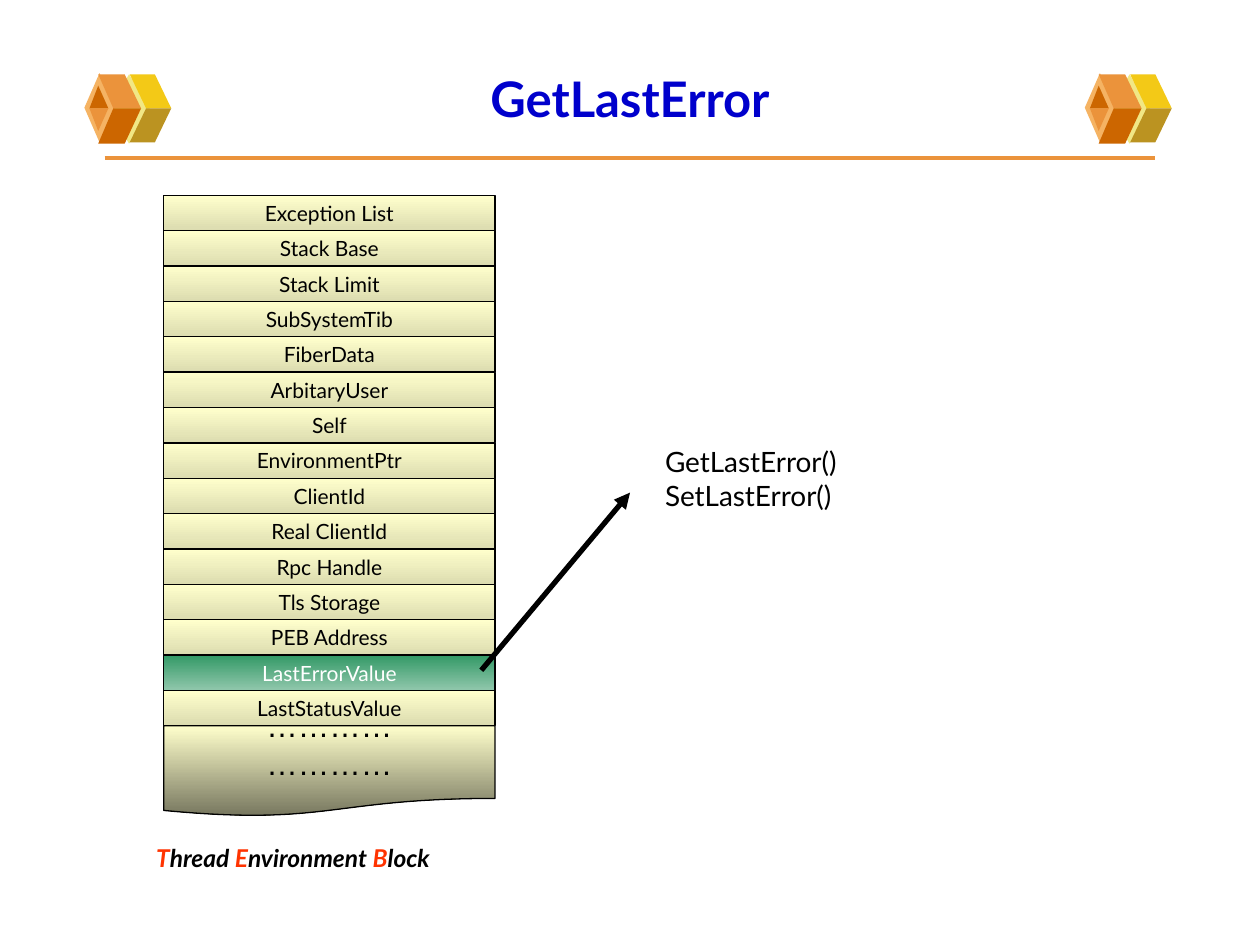
from dataclasses import dataclass
from lxml.etree import SubElement
from pptx import Presentation
from pptx.dml.color import RGBColor
from pptx.enum.shapes import MSO_CONNECTOR, MSO_SHAPE
from pptx.enum.text import MSO_ANCHOR, PP_ALIGN
from pptx.oxml.ns import qn
from pptx.util import Inches, Pt


@dataclass(frozen=True)
class Theme:
    font: str = "Lato"
    dots_font: str = "Arial"
    title: str = "0000CC"
    text: str = "000000"
    inverse: str = "FFFFFF"
    accent: str = "FF3300"
    rule: str = "EB933B"
    field: tuple = ("FFFFCC", "DCDCB0")
    chosen: tuple = ("339966", "90C7AC")
    rest: tuple = ("FFFFCC", "76765E")
    title_size: int = 28
    dots_size: int = 18
    call_size: int = 16
    caption_size: int = 14
    field_size: int = 12


@dataclass(frozen=True)
class Box:
    x: float
    y: float
    w: float
    h: float

    def share(self, x, y, w, h):
        return Box(self.x + x * self.w, self.y + y * self.h, w * self.w, h * self.h)

    def rows(self, n):
        return [self.share(0, i / n, 1, 1 / n) for i in range(n)]

    def emu(self):
        return [Inches(v) for v in (self.x, self.y, self.w, self.h)]


T = Theme()
PAGE = Box(0, 0, 10, 7.5)
FIELDS = ["Exception List", "Stack Base", "Stack Limit", "SubSystemTib", "FiberData",
          "ArbitaryUser", "Self", "EnvironmentPtr", "ClientId", "Real ClientId",
          "Rpc Handle", "Tls Storage", "PEB Address", "LastErrorValue", "LastStatusValue"]
CHOSEN = "LastErrorValue"
CUBE_GRID = (69, 56)
CUBE_BACK = ("F1E785", (19, 1, 33, 55), [
    ("F3C917", [(49, 28), (69, 28), (56, 1), (36, 1)]),
    ("BB9321", [(49, 28), (69, 28), (56, 55), (36, 55)])])
CUBE_FRONT = ("F5B363", (0, 0, 24, 55), [
    ("EB933B", [(23, 28), (45, 28), (32, 1), (11, 1)]),
    ("CC6600", [(23, 28), (45, 28), (32, 56), (11, 56)]),
    ("CC6600", [(11, 10), (4, 28), (19, 28)]),
    ("EB933B", [(11, 46), (4, 28), (19, 28)])])


def write(tf, paragraphs, size, color=T.text, font=T.font, align=PP_ALIGN.LEFT,
          anchor=MSO_ANCHOR.TOP, wrap=False, bold=False, italic=False):
    tf.word_wrap = wrap
    tf.vertical_anchor = anchor
    for i, runs in enumerate(paragraphs):
        p = tf.paragraphs[0] if i == 0 else tf.add_paragraph()
        p.alignment = align
        for text, run_color in [(runs, color)] if isinstance(runs, str) else runs:
            r = p.add_run()
            r.text = text
            f = r.font
            f.name, f.size, f.bold, f.italic = font, Pt(size), bold, italic
            f.color.rgb = RGBColor.from_string(run_color)


def paint(sp, color):
    sp.shadow.inherit = False
    sp.fill.solid()
    sp.fill.fore_color.rgb = RGBColor.from_string(color)
    sp.line.fill.background()


def add_line(s, start, end, color, width, arrow=False):
    x1, y1, x2, y2 = [Inches(v) for v in (*start, *end)]
    line = s.shapes.add_connector(MSO_CONNECTOR.STRAIGHT, x1, y1, x2, y2)
    line.line.color.rgb = RGBColor.from_string(color)
    line.line.width = Pt(width)
    props = line._element.spPr
    if arrow:
        SubElement(props.get_or_add_ln(), qn("a:tailEnd"), type="triangle")
    SubElement(props, qn("a:effectLst"))


def add_cell(s, box, shape, colors):
    sp = s.shapes.add_shape(shape, *box.emu())
    sp.shadow.inherit = False
    sp.fill.gradient()
    sp.fill.gradient_angle = 270
    for stop, color in zip(sp.fill.gradient_stops, colors):
        stop.color.rgb = RGBColor.from_string(color)
    sp.line.color.rgb = RGBColor.from_string(T.text)
    sp.line.width = Pt(0.75)
    return sp.text_frame


def add_label(s, box, paragraphs, size, **fmt):
    write(s.shapes.add_textbox(*box.emu()).text_frame, paragraphs, size, **fmt)


def add_cube(s, box):
    cols, rows = CUBE_GRID
    scale = Inches(box.w) / cols, Inches(box.h) / rows
    for color, (x, y, w, h), faces in (CUBE_BACK, CUBE_FRONT):
        diamond = box.share(x / cols, y / rows, w / cols, h / rows)
        paint(s.shapes.add_shape(MSO_SHAPE.DIAMOND, *diamond.emu()), color)
        for face_color, points in faces:
            fb = s.shapes.build_freeform(*points[0], scale=scale)
            fb.add_line_segments(points[1:], close=True)
            paint(fb.convert_to_shape(Inches(box.x), Inches(box.y)), face_color)


def add_header(s, box, text):
    bottom = box.y + box.h
    add_line(s, (box.x + 0.33, bottom), (box.x + box.w - 0.33, bottom), T.rule, 2.25)
    for x in (0.17, 8.11):
        add_cube(s, Box(box.x + x, box.y + 0.28, 0.69, 0.56))
    title = s.shapes.title
    title.left, title.top, title.width, title.height = box.emu()
    write(title.text_frame, [text], T.title_size, color=T.title, align=PP_ALIGN.CENTER,
          anchor=MSO_ANCHOR.MIDDLE, wrap=True, bold=True)


def add_block(s, box):
    centred = dict(align=PP_ALIGN.CENTER, anchor=MSO_ANCHOR.MIDDLE)
    fields_h = 0.854 
    rest = box.share(0, fields_h, 1, 1 - fields_h)
    tf = add_cell(s, rest, MSO_SHAPE.FLOWCHART_DOCUMENT, T.rest)
    tf.margin_bottom = Inches(0.34)
    write(tf, ["…………"] * 2, T.dots_size, font=T.dots_font, **centred)
    for name, row in zip(FIELDS, box.share(0, 0, 1, fields_h).rows(len(FIELDS))):
        fill, color = (T.chosen, T.inverse) if name == CHOSEN else (T.field, T.text)
        tf = add_cell(s, row, MSO_SHAPE.RECTANGLE, fill)
        write(tf, [name], T.field_size, color=color, **centred)


def add_caption(s, box):
    words = ["Thread ", "Environment ", "Block"]
    runs = [run for w in words for run in ((w[0], T.accent), (w[1:], T.text))]
    add_label(s, box, [runs], T.caption_size, wrap=True, bold=True, italic=True)


def add_calls(s, box):
    add_line(s, (3.82, 5.32), (box.x - 0.18, 3.91), T.text, 3, arrow=True)
    add_label(s, box, ["GetLastError()", "SetLastError()"], T.call_size)


def main():
    prs = Presentation()
    prs.slide_width, prs.slide_height = Inches(PAGE.w), Inches(PAGE.h)
    s = prs.slides.add_slide(prs.slide_layouts[5])
    add_header(s, PAGE.share(0.05, 0.04, 0.9, 0.127), "GetLastError")
    add_block(s, Box(1.3, 1.55, 2.63, 4.93))
    add_caption(s, Box(1.14, 6.64, 2.82, 0.34))
    add_calls(s, Box(5.18, 3.48, 1.66, 0.64))
    prs.save("out.pptx")


if __name__ == "__main__":
    main()
